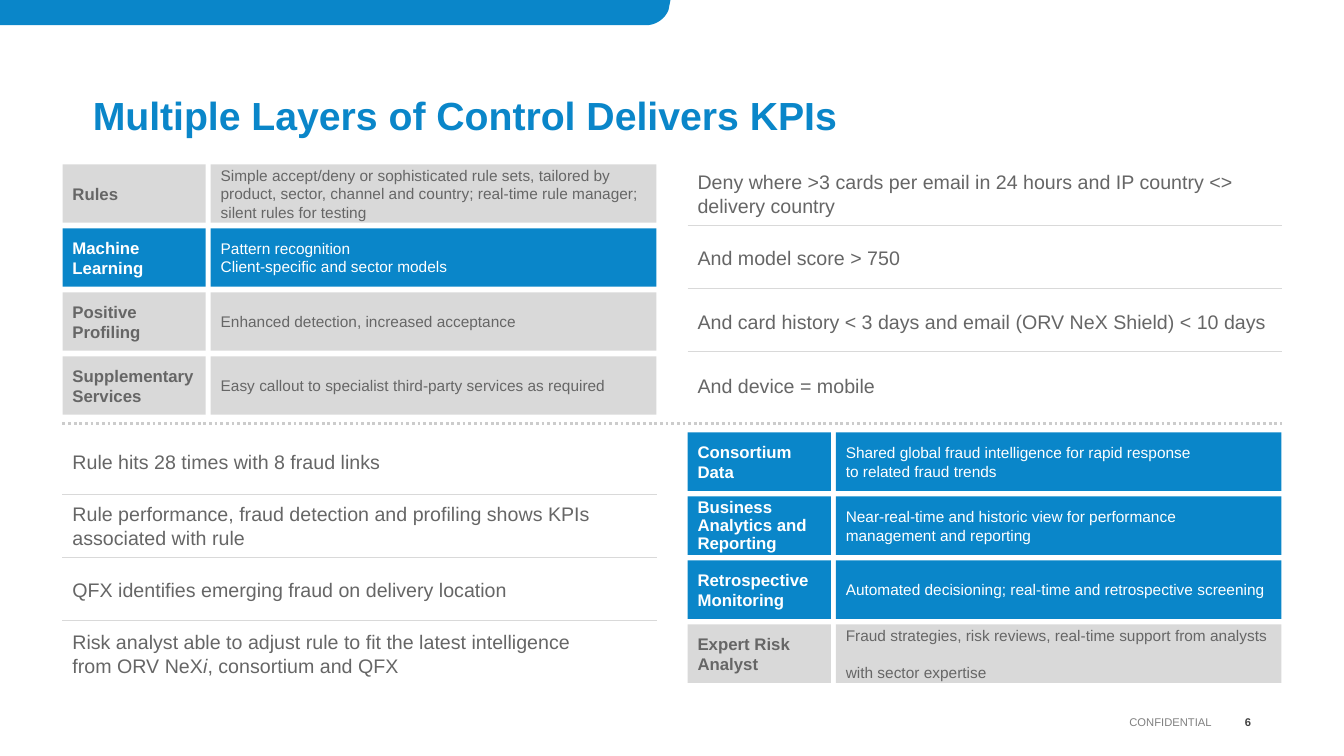
from copy import deepcopy

from lxml import etree
from pptx import Presentation
from pptx.dml.color import RGBColor
from pptx.enum.dml import MSO_LINE_DASH_STYLE as Dash
from pptx.enum.shapes import MSO_CONNECTOR as Connector, MSO_SHAPE as Shape
from pptx.enum.text import MSO_ANCHOR as Anchor, MSO_AUTO_SIZE as AutoSize, PP_ALIGN as Align
from pptx.oxml.ns import qn
from pptx.util import Inches, Pt

COLORS = {
    "blue": "0A86C9",
    "panel": "D9D9D9",
    "dots": "CCCCCC",
    "gray": "666666",
    "white": "FFFFFF",
    "footer": "808080",
    "number": "404040",
}
LEFT, RIGHT = 0.62, 6.82
TOP_ROW, BOTTOM_ROW = 1.63, 4.29
ROW_PITCH, ROW_HEIGHT = 0.635, 0.58
LABEL_WIDTH, DETAIL_OFFSET, DETAIL_WIDTH = 1.42, 1.47, 4.42
BLOCK_WIDTH = 5.9
RULE_OFFSET, RULE_PITCH = 0.61, 0.625

CONTROLS = [
    ("Rules", "Simple accept/deny or sophisticated rule sets, tailored by product, sector, "
     "channel and country; real-time rule manager; silent rules for testing", "panel"),
    ("Machine Learning", "Pattern recognition\nClient-specific and sector models", "blue"),
    ("Positive Profiling", "Enhanced detection, increased acceptance", "panel"),
    ("Supplementary Services",
     "Easy callout to specialist third-party services as required", "panel"),
]
INSIGHTS = [
    ("Consortium Data",
     "Shared global fraud intelligence for rapid response \nto related fraud trends", "blue"),
    ("Business Analytics and Reporting",
     "Near-real-time and historic view for performance \nmanagement and reporting", "blue"),
    ("Retrospective Monitoring",
     "Automated decisioning; real-time and retrospective screening", "blue"),
    ("Expert Risk Analyst",
     "Fraud strategies, risk reviews, real-time support from analysts \n"
     "with sector expertise", "panel"),
]
CONDITIONS = [
    (["Deny where >3 cards per email in 24 hours and IP country <> delivery country"], 0.19),
    (["And model score > 750"], 0.19),
    (["And card history < 3 days and email (ORV NeX Shield) < 10 days"], 0.19),
    (["And device = mobile"], 0.19),
]
RESULTS = [
    (["Rule hits 28 times with 8 fraud links"], 0.2),
    (["Rule performance, fraud detection and profiling shows KPIs associated with rule"], 0.52),
    (["QFX identifies emerging fraud on delivery location"], 0.2),
    (["Risk analyst able to adjust rule to fit the latest intelligence\nfrom ORV NeX",
      "i", ", consortium and QFX"], 0.39),
]


def rgb(name):
    return RGBColor.from_string(COLORS[name])


def add_span(para, text, size, color, bold=False, italic=False):
    for index, line in enumerate(text.split("\n")):
        if index:
            para.add_line_break()
        span = para.add_run()
        span.text = line
        span.font.name = "Arial"
        span.font.size = Pt(size)
        span.font.color.rgb = rgb(color)
        span.font.bold = bold
        span.font.italic = italic
        if index:
            line_break = para._p.findall(qn("a:br"))[-1]
            line_break.append(deepcopy(span._r.rPr))


def write(shape, parts, size, color, bold=False, align=Align.LEFT, anchor=Anchor.MIDDLE,
          insets=(0.1, 0.05), spacing=None, after=0):
    frame = shape.text_frame
    frame.word_wrap = True
    frame.auto_size = AutoSize.NONE
    frame.vertical_anchor = anchor
    frame.margin_left = frame.margin_right = Inches(insets[0])
    frame.margin_top = frame.margin_bottom = Inches(insets[1])
    para = frame.paragraphs[0]
    para.alignment = align
    para.space_before = Pt(0)
    para.space_after = Pt(after)
    if spacing:
        para.line_spacing = spacing
    for index, part in enumerate(parts):
        add_span(para, part, size, color, bold, italic=index == 1)


def add_text(page, left, top, width, height, parts, **style):
    box = page.shapes.add_textbox(Inches(left), Inches(top), Inches(width), Inches(height))
    write(box, parts, **style)


def add_panel(page, left, top, width, text, fill, **style):
    box = page.shapes.add_shape(
        Shape.RECTANGLE, Inches(left), Inches(top), Inches(width), Inches(ROW_HEIGHT))
    box.shadow.inherit = False
    box.fill.solid()
    box.fill.fore_color.rgb = rgb(fill)
    box.line.fill.background()
    write(box, [text], color="white" if fill == "blue" else "gray", **style)


def add_rule(page, left, right, top, color, weight, dash=None):
    rule = page.shapes.add_connector(
        Connector.STRAIGHT, Inches(left), Inches(top), Inches(right), Inches(top))
    rule.line.color.rgb = rgb(color)
    rule.line.width = Pt(weight)
    if dash:
        rule.line.dash_style = dash
    etree.SubElement(rule._element.spPr, qn("a:effectLst"))


def add_panels(page, left, top, rows):
    for index, (label, detail, fill) in enumerate(rows):
        row_top = top + index * ROW_PITCH
        add_panel(page, left + DETAIL_OFFSET, row_top, DETAIL_WIDTH, detail, fill,
                  size=11, after=24)
        add_panel(page, left, row_top, LABEL_WIDTH, label, fill, size=12, bold=True,
                  spacing=0.9 if len(label) > 30 else None)


def add_notes(page, left, top, rows):
    for index, (parts, height) in enumerate(rows):
        middle = top + index * ROW_PITCH + ROW_HEIGHT / 2
        add_text(page, left, middle - height / 2, BLOCK_WIDTH, height, parts,
                 size=14, color="gray", insets=(0.1, 0), after=24)
    for index in range(len(rows) - 1):
        add_rule(page, left, left + BLOCK_WIDTH, top + RULE_OFFSET + index * RULE_PITCH,
                 "panel", 0.5)


def curve(points, steps=12):
    for step in range(1, steps + 1):
        t = step / steps
        weights = ((1 - t) ** 3, 3 * t * (1 - t) ** 2, 3 * t * t * (1 - t), t ** 3)
        yield tuple(sum(w * point[axis] for w, point in zip(weights, points))
                    for axis in (0, 1))


def add_banner(page):
    corner = [(6.63, 0.1), (6.6, 0.18), (6.51, 0.25), (6.41, 0.25)]
    outline = [(6.65, 0), corner[0], *curve(corner), (0, 0.25)]
    builder = page.shapes.build_freeform(0, 0)
    builder.add_line_segments([(Inches(x), Inches(y)) for x, y in outline], close=True)
    banner = builder.convert_to_shape()
    banner.shadow.inherit = False
    banner.fill.solid()
    banner.fill.fore_color.rgb = rgb("blue")
    banner.line.fill.background()


def add_title(page, text):
    title = page.shapes.title
    title.left, title.top = Inches(0.92), Inches(0.79)
    title.width, title.height = Inches(11.5), Inches(0.59)
    write(title, [text], size=28, color="blue", bold=True, anchor=Anchor.BOTTOM,
          insets=(0, 0), spacing=0.9)


def main():
    deck = Presentation()
    deck.slide_width, deck.slide_height = Inches(13.33), Inches(7.5)
    page = deck.slides.add_slide(deck.slide_layouts[5])
    add_banner(page)
    add_title(page, "Multiple Layers of Control Delivers KPIs")
    add_panels(page, LEFT, TOP_ROW, CONTROLS)
    add_panels(page, RIGHT, BOTTOM_ROW, INSIGHTS)
    add_notes(page, RIGHT, TOP_ROW, CONDITIONS)
    add_notes(page, LEFT, BOTTOM_ROW, RESULTS)
    add_rule(page, LEFT, RIGHT + BLOCK_WIDTH, 4.2, "dots", 2, Dash.ROUND_DOT)
    add_text(page, 4.78, 7.06, 7.24, 0.2, ["CONFIDENTIAL"], size=8, color="footer",
             align=Align.RIGHT, insets=(0, 0))
    add_text(page, 12.02, 7.06, 0.39, 0.2, ["6"], size=8, color="number", bold=True,
             align=Align.RIGHT, insets=(0, 0))
    deck.save("out.pptx")


if __name__ == "__main__":
    main()
